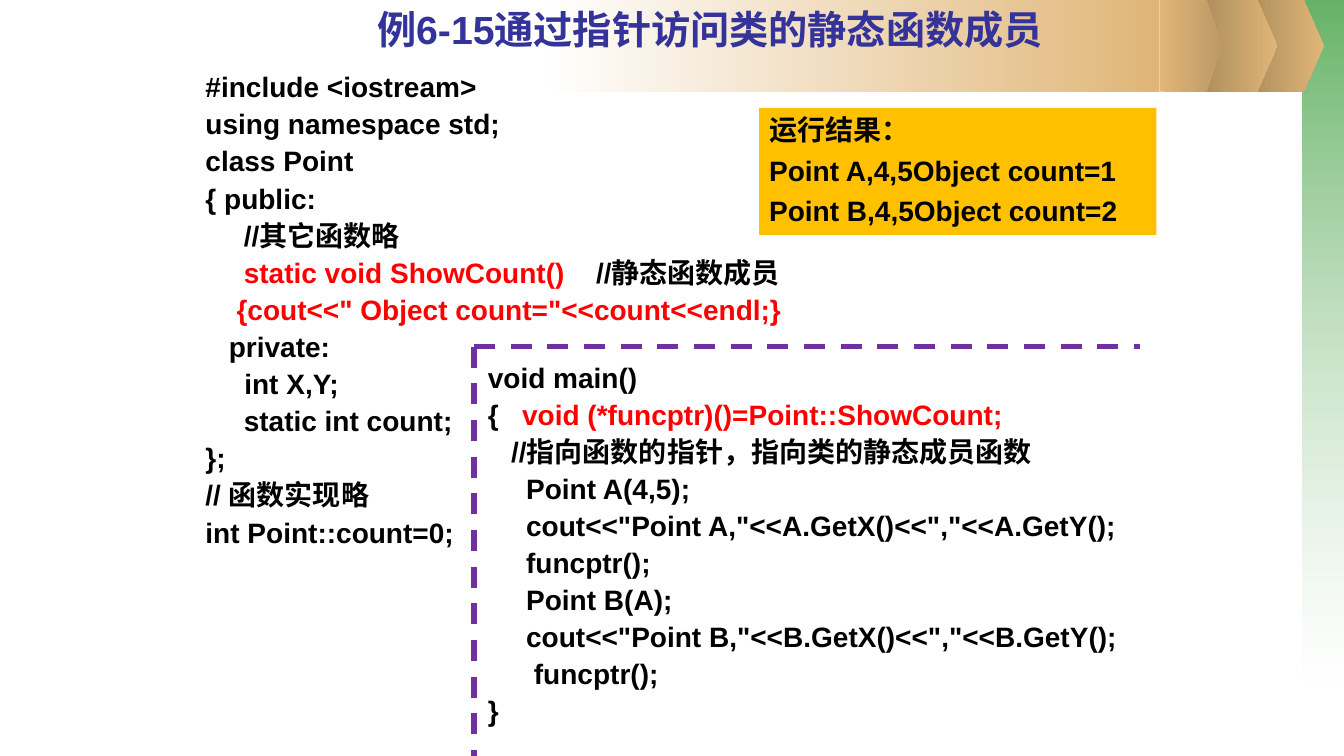
from lxml import etree
from pptx import Presentation
from pptx.dml.color import RGBColor
from pptx.enum.dml import MSO_LINE
from pptx.enum.shapes import MSO_CONNECTOR, MSO_SHAPE
from pptx.enum.text import MSO_ANCHOR, PP_ALIGN
from pptx.oxml.ns import qn
from pptx.util import Inches, Pt

RECT, PENTAGON = MSO_SHAPE.RECTANGLE, MSO_SHAPE.PENTAGON
STRAIGHT, DASH = MSO_CONNECTOR.STRAIGHT, MSO_LINE.DASH
TOP, LEFT, CENTER = MSO_ANCHOR.TOP, PP_ALIGN.LEFT, PP_ALIGN.CENTER

WIDTH, HEIGHT = Inches(13.33), Inches(7.5)
FONT = "Arial"
BLACK, RED, NAVY, PURPLE = "000000", "FF0000", "333399", "7030A0"
SAND, BROWN, OCHRE, AMBER = "E0B678", "AB8B5C", "BD9965", "FFC000"
GREEN, WHITE = "339933", "FFFFFF"

# Each line of code is a list of (text, colour) runs.
CLASS_CODE = [
    [("#include <iostream>", BLACK)],
    [("using namespace std;", BLACK)],
    [("class Point", BLACK)],
    [("{ public:", BLACK)],
    [("\t//其它函数略", BLACK)],
    [("\tstatic void ShowCount()    ", RED), ("//静态函数成员", BLACK)],
    [('    {cout<<" Object count="<<count<<endl;}', RED)],
    [("   private:", BLACK)],
    [("     int X,Y;", BLACK)],
    [("\tstatic int count;", BLACK)],
    [("};", BLACK)],
    [("// 函数实现略", BLACK)],
    [("int Point::count=0;", BLACK)],
]
MAIN_CODE = [
    [("void main()", BLACK)],
    [("{   ", BLACK), ("void (*funcptr)()=Point::ShowCount;", RED)],
    [("   //指向函数的指针，指向类的静态成员函数", BLACK)],
    [("\tPoint A(4,5);", BLACK)],
    [('\tcout<<"Point A,"<<A.GetX()<<","<<A.GetY();', BLACK)],
    [("\tfuncptr();", BLACK)],
    [("\tPoint B(A);", BLACK)],
    [('\tcout<<"Point B,"<<B.GetX()<<","<<B.GetY();', BLACK)],
    [("\t funcptr();", BLACK)],
    [("}", BLACK)],
]
RESULTS = ["运行结果：", "Point A,4,5Object count=1", "Point B,4,5Object count=2"]


def rgb(value):
    return RGBColor.from_string(value)


def share(x, y, w, h):
    """Turn percentages of the slide's width and height into lengths."""
    return (int(WIDTH * x / 100), int(HEIGHT * y / 100),
            int(WIDTH * w / 100), int(HEIGHT * h / 100))


def add_block(slide, kind, box):
    sp = slide.shapes.add_shape(kind, *box)
    sp.shadow.inherit = False
    sp.line.fill.background()
    if kind == PENTAGON:
        sp.adjustments[0] = 0.25
    return sp


def fill_gradient(sp, colours, angle=0, alphas=()):
    sp.fill.gradient()
    sp.fill.gradient_angle = angle
    for stop, colour in zip(sp.fill.gradient_stops, colours):
        stop.color.rgb = rgb(colour)
    for node, alpha in zip(sp._element.spPr.iter(qn("a:srgbClr")), alphas):
        etree.SubElement(node, qn("a:alpha")).set("val", str(alpha * 1000))


def write_lines(tf, lines, size=20, spacing=1.0, indent=0.38, align=LEFT):
    """Write one paragraph per line, with a hanging indent."""
    tf.word_wrap = True
    tf.vertical_anchor = TOP
    for i, runs in enumerate(lines):
        p = tf.paragraphs[0] if i == 0 else tf.add_paragraph()
        p.alignment = align
        p.line_spacing = spacing
        if i:
            p.space_before = Pt(4.9)
        if indent:
            pPr = p._p.get_or_add_pPr()
            pPr.set("marL", str(Inches(indent)))
            pPr.set("indent", str(-Inches(indent)))
        for text, colour in runs:
            r = p.add_run()
            r.text = text
            r.font.name = FONT
            r.font.size = Pt(size)
            r.font.bold = True
            r.font.color.rgb = rgb(colour)


def add_decoration(slide, x, band_height):
    """Green edge from x to the right side, and the sand-coloured top band."""
    edge = add_block(slide, RECT, share(x, 0, 100 - x, 90.27))
    fill_gradient(edge, (GREEN, WHITE), angle=270, alphas=(75, 37))
    band = [
        (PENTAGON, x - 4.35, 5.93, (BROWN, SAND)),
        (PENTAGON, x - 7.8, 5.93, (BROWN, SAND)),
        (RECT, x - 56.71, 46.06, (WHITE, SAND)),
        (PENTAGON, x - 10.65, 4.65, (SAND, OCHRE)),
    ]
    for kind, left, width, colours in band:
        sp = add_block(slide, kind, share(left, 0, width, band_height))
        fill_gradient(sp, colours)


def add_title(slide, box):
    tf = slide.shapes.add_textbox(*box).text_frame
    write_lines(tf, [[("例6-15通过指针访问类的静态函数成员", NAVY)]],
                size=28, indent=0, align=CENTER)


def add_code(slide, box, lines):
    write_lines(slide.shapes.add_textbox(*box).text_frame, lines, spacing=0.9)


def add_results(slide, box):
    sp = add_block(slide, RECT, box)
    sp.fill.solid()
    sp.fill.fore_color.rgb = rgb(AMBER)
    write_lines(sp.text_frame, [[(line, BLACK)] for line in RESULTS])


def add_corner(slide, box):
    """Dashed lines along the left and top sides of the box."""
    x, y, w, h = box
    for end in ((x, y + h), (x + w, y)):
        line = slide.shapes.add_connector(STRAIGHT, x, y, *end)
        line.line.color.rgb = rgb(PURPLE)
        line.line.width = Pt(3.75)
        line.line.dash_style = DASH
        etree.SubElement(line._element.spPr, qn("a:effectLst"))


def main():
    prs = Presentation()
    prs.slide_width, prs.slide_height = WIDTH, HEIGHT
    slide = prs.slides.add_slide(prs.slide_layouts[6])
    add_decoration(slide, 96.92, 12.13)
    add_title(slide, share(22.81, 0, 60.02, 10.4))
    add_code(slide, share(14.55, 9.07, 59.41, 65.6), CLASS_CODE)
    add_code(slide, share(35.56, 47.47, 49.89, 52.53), MAIN_CODE)
    add_results(slide, share(56.49, 14.27, 29.56, 16.8))
    add_corner(slide, share(35.26, 45.87, 49.59, 54.13))
    prs.save("out.pptx")


if __name__ == "__main__":
    main()
